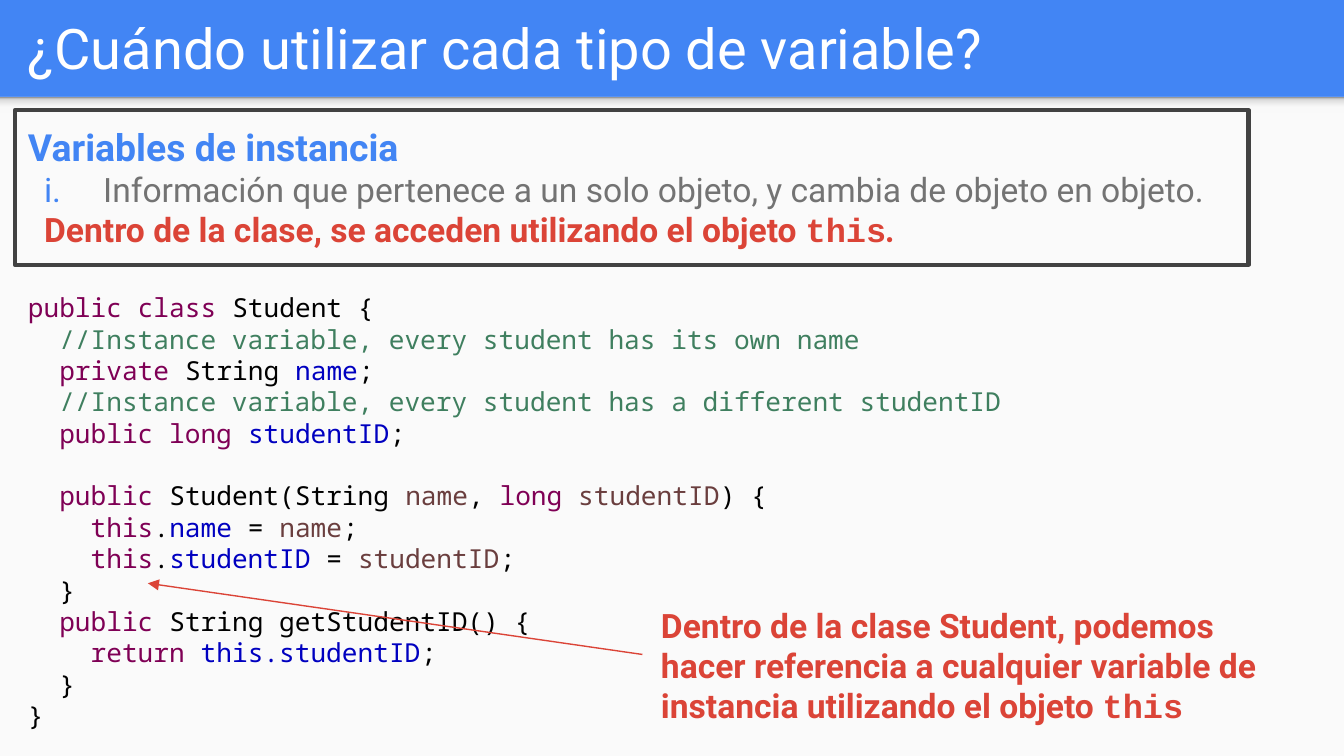
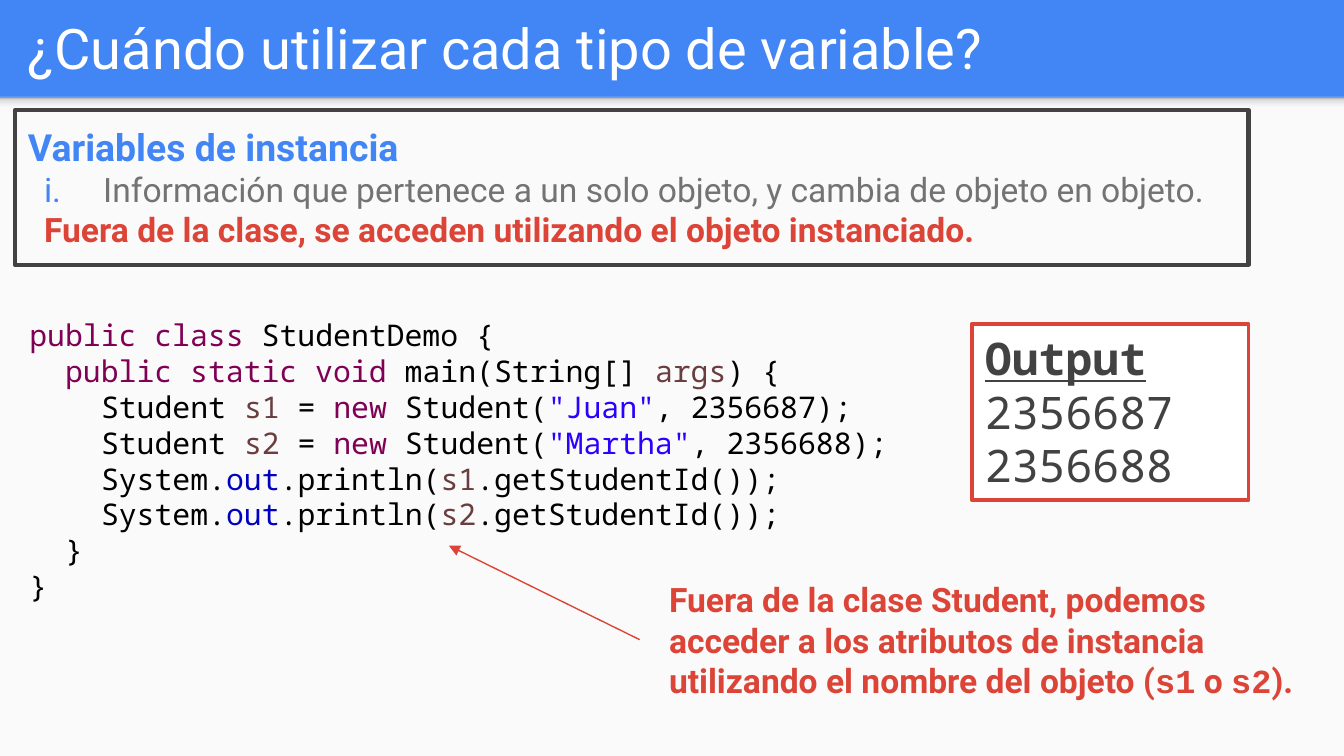
from functools import partial
from typing import NamedTuple, Optional

from lxml.etree import SubElement
from pptx import Presentation
from pptx.dml.color import RGBColor
from pptx.enum.shapes import MSO_CONNECTOR, MSO_SHAPE
from pptx.enum.text import MSO_ANCHOR, MSO_AUTO_SIZE, PP_ALIGN
from pptx.oxml.ns import qn
from pptx.util import Inches, Pt

COLORS = {
    "blue": "4285F4",
    "paper": "FAFAFA",
    "white": "FFFFFF",
    "red": "DB4437",
    "dark": "424242",
    "gray": "737373",
    "keyword": "7F0055",
    "plain": "000000",
    "comment": "3F7F5F",
    "field": "0000C0",
    "local": "6A3E3E",
    "string": "2A00FF",
}
SHADE_STOPS = {0: "F9F9F9", 36: "F9F9F9", 80: "DEDEDE", 100: "999999"}
BODY, MONO, COURIER = "Roboto", "Noto Sans Mono", "Courier New"
SLIDE_WIDTH = Inches(10)
SLIDE_HEIGHT = SLIDE_WIDTH * 9 // 16
COLUMNS = 100
CELL = SLIDE_WIDTH // COLUMNS
ROWS = SLIDE_HEIGHT / CELL
BAND_ROWS = 7.2
MONO_ADVANCE = 0.6
MONO_LEADING = 1.2
TITLE = "¿Cuándo utilizar cada tipo de variable?"


class Box(NamedTuple):
    left: float
    top: float
    width: float
    height: float


class Run(NamedTuple):
    text: str
    color: str
    size: float = 18
    font: str = BODY
    bold: bool = False
    italic: bool = False
    underline: bool = False


class Line(NamedTuple):
    runs: list[Run]
    margin: float = 0
    hanging: float = 0
    numbered: bool = False
    space_before: float = 0


class Token(NamedTuple):
    color: str
    text: str


class CodeLine(NamedTuple):
    level: int
    tokens: list[Token]
    gap: int = 0


class Arrow(NamedTuple):
    start: tuple[float, float]
    end: tuple[float, float]


class Lesson(NamedTuple):
    rule: list[Run]
    code_box: Box
    code_size: float
    code: list[CodeLine]
    note_box: Box
    note: list[Run]
    arrow: Arrow
    output: Optional[list[str]] = None


keyword, plain, comment, field, local, string = (
    partial(Token, name)
    for name in ("keyword", "plain", "comment", "field", "local", "string")
)
strong = partial(Run, color="red", bold=True)
strong_code = partial(strong, font=COURIER)


def rgb(name: str) -> RGBColor:
    return RGBColor.from_string(COLORS[name])


def cells(*counts: float) -> list[int]:
    return [round(count * CELL) for count in counts]


def write(shape, lines: list[Line], inset: float = 0.5, grow: bool = False,
          anchor=MSO_ANCHOR.TOP) -> None:
    frame = shape.text_frame
    frame.word_wrap = True
    frame.vertical_anchor = anchor
    frame.auto_size = MSO_AUTO_SIZE.SHAPE_TO_FIT_TEXT if grow else MSO_AUTO_SIZE.NONE
    frame.margin_left = frame.margin_right = CELL
    frame.margin_top = frame.margin_bottom = round(inset * CELL)
    for index, line in enumerate(lines):
        paragraph = frame.add_paragraph() if index else frame.paragraphs[0]
        paragraph.alignment = PP_ALIGN.LEFT
        paragraph.space_before = Pt(line.space_before)
        properties = paragraph._p.get_or_add_pPr()
        properties.set("marL", str(Inches(line.margin)))
        properties.set("indent", str(Inches(line.hanging)))
        if line.numbered:
            color = SubElement(properties, qn("a:buClr"))
            SubElement(color, qn("a:srgbClr"), val=COLORS["blue"])
            SubElement(properties, qn("a:buAutoNum"), type="romanLcPeriod")
        for part in line.runs:
            run = paragraph.add_run()
            run.text = part.text
            run.font.name = part.font
            run.font.size = Pt(part.size)
            run.font.bold = part.bold
            run.font.italic = part.italic
            run.font.underline = part.underline
            run.font.color.rgb = rgb(part.color)


def add_panel(slide, box: Box, fill: Optional[str] = None,
              outline: Optional[str] = None, weight: float = 0):
    shape = slide.shapes.add_shape(MSO_SHAPE.RECTANGLE, *cells(*box))
    shape.shadow.inherit = False
    if fill:
        shape.fill.solid()
        shape.fill.fore_color.rgb = rgb(fill)
    else:
        shape.fill.background()
    if outline:
        shape.line.color.rgb = rgb(outline)
        shape.line.width = Pt(weight)
    else:
        shape.line.fill.background()
    return shape


def add_text(slide, box: Box, lines: list[Line], **options) -> None:
    write(slide.shapes.add_textbox(*cells(*box)), lines, **options)


def add_band_shade(slide) -> None:
    shape = add_panel(slide, Box(0, BAND_ROWS, COLUMNS, 1.2))
    shape.fill.gradient()
    shape.fill.gradient_angle = 90
    stops = shape._element.spPr.find(qn("a:gradFill")).find(qn("a:gsLst"))
    for stop in list(stops):
        stops.remove(stop)
    for percent, color in SHADE_STOPS.items():
        stop = SubElement(stops, qn("a:gs"), pos=str(percent * 1000))
        SubElement(stop, qn("a:srgbClr"), val=color)


def add_frame(slide, rule: list[Run]) -> None:
    slide.background.fill.solid()
    slide.background.fill.fore_color.rgb = rgb("blue")
    add_panel(slide, Box(0, BAND_ROWS, COLUMNS, ROWS - BAND_ROWS), "paper")
    add_band_shade(slide)
    add_text(slide, Box(1.1, 0.2, 96.5, 6.6), [Line([Run(TITLE, "white", 30)])],
             inset=1, anchor=MSO_ANCHOR.MIDDLE)
    definition = "Información que pertenece a un solo objeto, y cambia de objeto en objeto."
    write(add_panel(slide, Box(1.1, 8.2, 91.8, 11.5), outline="dark", weight=2.25), [
        Line([Run("Variables de instancia", "blue", 20, bold=True)]),
        Line([Run(definition, "gray")], margin=0.56, hanging=-0.44, numbered=True),
        Line(rule, margin=0.12),
    ], inset=1)


def add_code(slide, box: Box, size: float, code: list[CodeLine]) -> None:
    step = 2 * MONO_ADVANCE * size / 72
    add_text(slide, box, [
        Line([Run(token.text, token.color, size, MONO) for token in line.tokens],
             margin=line.level * step,
             space_before=line.gap * MONO_LEADING * size)
        for line in code
    ], grow=True)


def add_output(slide, values: list[str]) -> None:
    heading = Run("Output", "dark", 24, MONO, bold=True, underline=True)
    results = [Run(value, "dark", 24, MONO) for value in values]
    panel = add_panel(slide, Box(72.3, 24.1, 20.6, 13.1), "white", "red", 2)
    write(panel, [Line([run]) for run in (heading, *results)], grow=True)


def add_arrow(slide, arrow: Arrow) -> None:
    connector = slide.shapes.add_connector(
        MSO_CONNECTOR.STRAIGHT, *cells(*arrow.start, *arrow.end))
    connector.line.color.rgb = rgb("red")
    connector.line.width = Pt(0.75)
    SubElement(connector.line._get_or_add_ln(), qn("a:tailEnd"), type="triangle")
    SubElement(connector._element.spPr, qn("a:effectLst"))


def assignment(name: str) -> CodeLine:
    return CodeLine(2, [keyword("this"), plain("."), field(name), plain(" = "),
                        local(name), plain(";")])


def creation(name: str, student: str, number: str) -> CodeLine:
    return CodeLine(2, [plain("Student "), local(name), plain(" = "), keyword("new"),
                        plain(" Student("), string(f'"{student}"'),
                        plain(f", {number});")])


def printing(name: str) -> CodeLine:
    return CodeLine(2, [plain("System."), field("out"), plain(".println("),
                        local(name), plain(".getStudentId());")])


def closing(level: int) -> CodeLine:
    return CodeLine(level, [plain("}")])


STUDENT = [
    CodeLine(0, [keyword("public class"), plain(" Student {")]),
    CodeLine(1, [comment("//Instance variable, every student has its own name")]),
    CodeLine(1, [keyword("private"), plain(" String "), field("name"), plain(";")]),
    CodeLine(1, [comment("//Instance variable, every student has a different studentID")]),
    CodeLine(1, [keyword("public long "), field("studentID"), plain(";")]),
    CodeLine(1, [keyword("public"), plain(" Student(String "), local("name"), plain(", "),
                 keyword("long "), local("studentID"), plain(") {")], gap=1),
    assignment("name"),
    assignment("studentID"),
    closing(1),
    CodeLine(1, [keyword("public"), plain(" String getStudentID() {")]),
    CodeLine(2, [keyword("return "), field("this.studentID"), plain(";")]),
    closing(1),
    closing(0),
]
NUMBERS = {"Juan": "2356687", "Martha": "2356688"}
OBJECTS = ["s1", "s2"]
STUDENT_DEMO = [
    CodeLine(0, [keyword("public class "), plain("StudentDemo {")]),
    CodeLine(1, [keyword("public static void"), plain(" main(String[] "),
                 local("args"), plain(") {")]),
    *(creation(name, *entry) for name, entry in zip(OBJECTS, NUMBERS.items())),
    *map(printing, OBJECTS),
    closing(1),
    closing(0),
]
LESSONS = [
    Lesson(
        rule=[strong("Dentro de la clase, se acceden utilizando el objeto "),
              strong_code("this"), strong(".", italic=True)],
        code_box=Box(1.1, 21.2, 93.4, 34), code_size=14, code=STUDENT,
        note_box=Box(47, 44.5, 50, 10.1),
        note=[strong("Dentro de la clase Student, podemos hacer referencia a cualquier "
                     "variable de instancia utilizando el objeto "), strong_code("this")],
        arrow=Arrow((47.8, 48.7), (11, 43.4)),
    ),
    Lesson(
        rule=[strong("Fuera de la clase, se acceden utilizando el objeto instanciado.")],
        code_box=Box(1.2, 23.1, 97.6, 22.6), code_size=16, code=STUDENT_DEMO,
        note_box=Box(47.6, 42.6, 50, 10.1),
        note=[strong("Fuera de la clase Student, podemos acceder a los atributos de "
                     "instancia utilizando el nombre del objeto ("),
              strong_code("s1"), strong(" o "), strong_code("s2"), strong(").")],
        arrow=Arrow((47.6, 47.6), (33.4, 40.6)),
        output=list(NUMBERS.values()),
    ),
]


def main() -> None:
    presentation = Presentation()
    presentation.slide_width = SLIDE_WIDTH
    presentation.slide_height = SLIDE_HEIGHT
    for lesson in LESSONS:
        slide = presentation.slides.add_slide(presentation.slide_layouts[6])
        add_frame(slide, lesson.rule)
        add_code(slide, lesson.code_box, lesson.code_size, lesson.code)
        if lesson.output:
            add_output(slide, lesson.output)
        add_text(slide, lesson.note_box, [Line(lesson.note, margin=0.12)], grow=True)
        add_arrow(slide, lesson.arrow)
    presentation.save("out.pptx")


if __name__ == "__main__":
    main()
